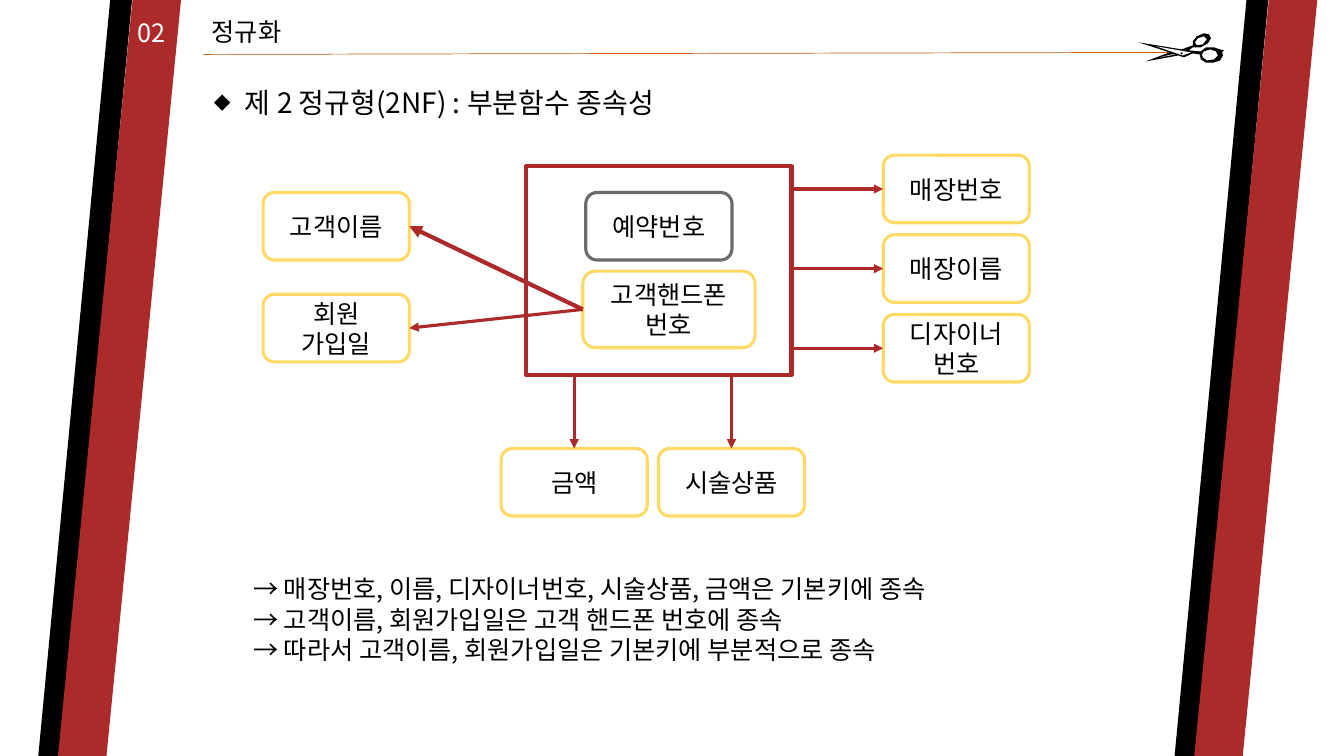
from lxml import etree
from pptx import Presentation
from pptx.dml.color import RGBColor
from pptx.enum.shapes import MSO_CONNECTOR, MSO_SHAPE
from pptx.enum.text import MSO_ANCHOR, MSO_AUTO_SIZE, PP_ALIGN
from pptx.oxml.ns import qn
from pptx.util import Inches, Pt

STRAIGHT = MSO_CONNECTOR.STRAIGHT
RECTANGLE, ROUNDED = MSO_SHAPE.RECTANGLE, MSO_SHAPE.ROUNDED_RECTANGLE
SLANTED, OVAL = MSO_SHAPE.PARALLELOGRAM, MSO_SHAPE.OVAL
TOP, MIDDLE = MSO_ANCHOR.TOP, MSO_ANCHOR.MIDDLE
LEFT, CENTER = PP_ALIGN.LEFT, PP_ALIGN.CENTER
FIT_SHAPE, NO_FIT = MSO_AUTO_SIZE.SHAPE_TO_FIT_TEXT, MSO_AUTO_SIZE.NONE
TOP_SITE, LEFT_SITE, RIGHT_SITE = 0, 1, 3

FONT = "Noto Sans CJK KR"
BLACK, WHITE, RED = "000000", "FFFFFF", "AC2A2A"
YELLOW, GRAY, ORANGE = "FFD966", "6A6C6B", "C55A11"
CELL = 0.1
OUTLINE_STEP = 0.01
BOX_WIDTH, BOX_HEIGHT = 14.5, 6.7

SCISSORS = [
    [(1214, 50), (1212, 52), (1213, 55), (1210, 60), (1204, 62),
     (1196, 62), (1191, 59), (1190, 54), (1183, 53), (1174, 57),
     (1169, 55), (1136, 61), (1160, 52), (1129, 42), (1172, 49),
     (1183, 45), (1183, 41), (1187, 36), (1194, 33), (1199, 34),
     (1201, 38), (1198, 43), (1191, 47), (1183, 47), (1179, 50),
     (1191, 51), (1196, 47), (1204, 47), (1210, 49)],
    [(1193, 57), (1197, 60), (1204, 59), (1208, 55), (1206, 51),
     (1200, 49), (1194, 51), (1192, 54)],
    [(1188, 38), (1185, 42), (1187, 45), (1193, 44), (1197, 39),
     (1194, 36)],
]
UPPER_BLADE = [(1173, 55), (1147, 46), (1181, 52)]
LOWER_BLADE = [(1166, 54), (1162, 54), (1150, 57)]


def color(value):
    return RGBColor.from_string(value)


def grid(*cells):
    return [Inches(cell * CELL) for cell in cells]


def paint(shape, fill=None, outline=None, weight=1):
    shape.shadow.inherit = False
    if fill:
        shape.fill.solid()
        shape.fill.fore_color.rgb = color(fill)
    else:
        shape.fill.background()
    if outline:
        shape.line.color.rgb = color(outline)
        shape.line.width = Pt(weight)
    else:
        shape.line.fill.background()


def write(frame, lines, size=18, ink=BLACK, align=LEFT, anchor=TOP, fit=FIT_SHAPE):
    frame.word_wrap = True
    frame.auto_size = fit
    frame.vertical_anchor = anchor
    for number, line in enumerate(lines):
        paragraph = frame.add_paragraph() if number else frame.paragraphs[0]
        paragraph.alignment = align
        paragraph.space_before = Pt(0)
        run = paragraph.add_run()
        run.text = line
        run.font.size = Pt(size)
        run.font.name = FONT
        run.font.color.rgb = color(ink)
        etree.SubElement(run.font._element, qn("a:ea"), typeface=FONT)


def set_bullet(paragraph, mark=None, hanging=0):
    properties = paragraph._p.get_or_add_pPr()
    indent = Inches(hanging)
    properties.set("marL", str(indent))
    properties.set("indent", str(-indent))
    if mark:
        etree.SubElement(properties, qn("a:buSzPct"), val="60000")
        etree.SubElement(properties, qn("a:buFont"), typeface=FONT)
        etree.SubElement(properties, qn("a:buChar"), char=mark)
    else:
        etree.SubElement(properties, qn("a:buNone"))


def place(holder, *cells):
    holder.left, holder.top, holder.width, holder.height = grid(*cells)
    return holder.text_frame


def add_box(shapes, label, left, top, width=BOX_WIDTH, height=BOX_HEIGHT, outline=YELLOW):
    box = shapes.add_shape(ROUNDED, *grid(left, top, width, height))
    paint(box, outline=outline, weight=2.25)
    write(box.text_frame, label.split("\n"), align=CENTER, anchor=MIDDLE, fit=NO_FIT)
    return box


def add_line(shapes, start, end, ink=RED, weight=2.25):
    line = shapes.add_connector(STRAIGHT, *grid(*start, *end))
    line.line.color.rgb = color(ink)
    line.line.width = Pt(weight)
    etree.SubElement(line._element.spPr, qn("a:effectLst"))
    return line


def add_arrow(shapes, start, box, site, weight=2.25):
    arrow = add_line(shapes, start, start, weight=weight)
    arrow.end_connect(box, site)
    etree.SubElement(arrow.line._get_or_add_ln(), qn("a:tailEnd"), type="triangle")
    return arrow


def add_outline(shapes, contours, fill):
    first, *holes = contours
    builder = shapes.build_freeform(*first[0], scale=Inches(OUTLINE_STEP))
    builder.add_line_segments(first[1:])
    for hole in holes:
        builder.move_to(*hole[0])
        builder.add_line_segments(hole[1:])
    paint(builder.convert_to_shape(), fill)


def add_stripes(shapes, left):
    for offset, width, slant, fill in ((0, 9.3, 0.767, BLACK), (1.95, 12.2, 0.606, RED)):
        stripe = shapes.add_shape(SLANTED, *grid(left + offset, 0, width, 75))
        stripe.adjustments[0] = slant
        paint(stripe, fill)


def add_scissors(shapes):
    add_outline(shapes, SCISSORS, BLACK)
    add_outline(shapes, [UPPER_BLADE], WHITE)
    add_outline(shapes, [LOWER_BLADE], WHITE)
    paint(shapes.add_shape(OVAL, *grid(117.1, 5.2, 0.2, 0.2)), BLACK)


def add_diagram(shapes):
    key_frame = shapes.add_shape(RECTANGLE, *grid(52.2, 16.5, 26.3, 20.7))
    paint(key_frame, outline=RED, weight=3)
    add_box(shapes, "예약번호", 58.1, 19.1, outline=GRAY)
    phone = add_box(shapes, "고객핸드폰 번호", 57.8, 26.9, 17.1, 7.6)

    for label, top, weight in (("고객이름", 19.1, 3), ("회원\n가입일", 29.2, 2.25)):
        customer = add_box(shapes, label, 26.1, top)
        arrow = add_arrow(shapes, (57.8, 30.8), customer, RIGHT_SITE, weight)
        arrow.begin_connect(phone, LEFT_SITE)

    for row, label in enumerate(("매장번호", "매장이름", "디자이너\n번호")):
        top = 15.4 + 7.9 * row
        shop = add_box(shapes, label, 87.6, top)
        add_arrow(shapes, (78.4, top + BOX_HEIGHT / 2), shop, LEFT_SITE)

    for label, left in (("금액", 49.7), ("시술상품", 65.3)):
        service = add_box(shapes, label, left, 44.5)
        add_arrow(shapes, (left + BOX_WIDTH / 2, 37.2), service, TOP_SITE)


def main():
    deck = Presentation()
    deck.slide_width, deck.slide_height = Inches(13.33), Inches(7.5)
    slide = deck.slides.add_slide(deck.slide_layouts[3])
    shapes = slide.shapes
    title, heading, conclusions = slide.placeholders

    for left in (3.8, 116.5):
        add_stripes(shapes, left)
    add_line(shapes, (20.2, 5.4), (116.9, 5.2), ORANGE, 0.5)
    add_scissors(shapes)

    write(place(title, 20, 1.1, 9.6, 4), ["정규화"])
    section = shapes.add_textbox(*grid(12.7, 1.2, 5, 4))
    write(section.text_frame, ["02"], ink=WHITE)

    heading_frame = place(heading, 20.2, 8, 59.9, 4.4)
    write(heading_frame, ["제 2 정규형(2NF) : 부분함수 종속성"], size=20)
    set_bullet(heading_frame.paragraphs[0], "◆", 0.31)

    add_diagram(shapes)

    conclusions_frame = place(conclusions, 24.1, 56.4, 92.4, 10.1)
    write(conclusions_frame, [
        "→ 매장번호, 이름, 디자이너번호, 시술상품, 금액은 기본키에 종속",
        "→ 고객이름, 회원가입일은 고객 핸드폰 번호에 종속",
        "→ 따라서 고객이름, 회원가입일은 기본키에 부분적으로 종속",
    ])
    for paragraph in conclusions_frame.paragraphs:
        set_bullet(paragraph)

    deck.save("out.pptx")


main()
